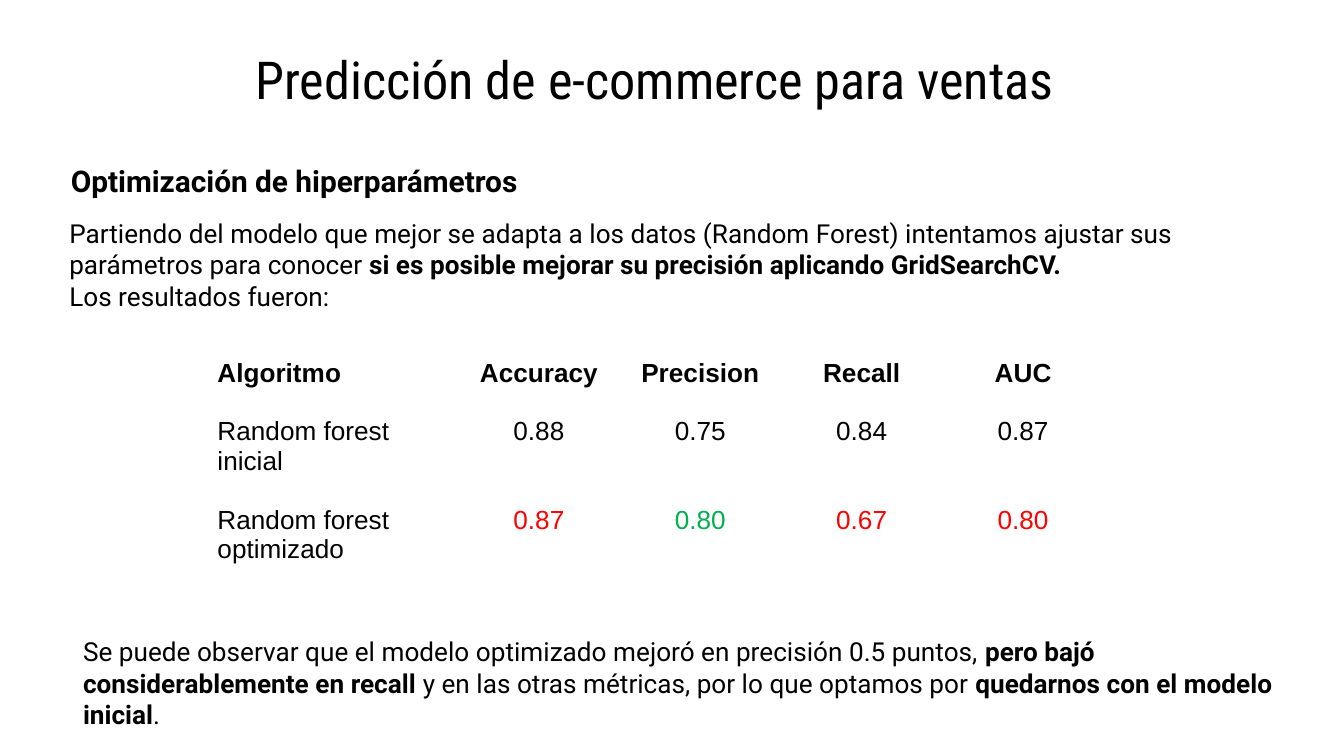
from dataclasses import dataclass

from pptx import Presentation
from pptx.dml.color import RGBColor
from pptx.enum.text import MSO_ANCHOR, MSO_AUTO_SIZE, PP_ALIGN
from pptx.util import Cm, Pt


@dataclass(frozen=True)
class Theme:
    ink: RGBColor = RGBColor(0, 0, 0)
    worse: RGBColor = RGBColor(0xFF, 0, 0)
    better: RGBColor = RGBColor(0, 0xB0, 0x50)
    title_font: str = "Roboto Condensed"
    body_font: str = "Roboto"
    table_font: str = "Arial"
    title_size: Pt = Pt(28)
    heading_size: Pt = Pt(16)
    body_size: Pt = Pt(14)


THEME = Theme()
INSET = Cm(0.25)

HEADER = ["Algoritmo", "Accuracy", "Precision", "Recall", "AUC"]
RESULTS = [
    ["Random forest inicial", 0.88, 0.75, 0.84, 0.87],
    ["Random forest optimizado", 0.87, 0.80, 0.67, 0.80],
]


def box(left, top, width, height):
    return Cm(left), Cm(top), Cm(width), Cm(height)


def style(font, name, size, color=THEME.ink, bold=None):
    font.name, font.size, font.bold = name, size, bold
    font.color.rgb = color


def set_frame(frame, side=INSET, vertical=INSET):
    frame.word_wrap = True
    frame.auto_size = MSO_AUTO_SIZE.NONE
    frame.vertical_anchor = MSO_ANCHOR.TOP
    frame.margin_left = frame.margin_right = side
    frame.margin_top = frame.margin_bottom = vertical


def add_title(slide, area, text):
    title = slide.shapes.title
    title.left, title.top, title.width, title.height = area
    set_frame(title.text_frame)
    title.text_frame.text = text
    line = title.text_frame.paragraphs[0]
    line.alignment = PP_ALIGN.CENTER
    style(line.font, THEME.title_font, THEME.title_size)


def add_text(slide, area, paragraphs, size=THEME.body_size, spacing=None, vertical=INSET):
    """Each paragraph is a list of (text, bold) pieces."""
    frame = slide.shapes.add_textbox(*area).text_frame
    set_frame(frame, vertical=vertical)
    for index, pieces in enumerate(paragraphs):
        paragraph = frame.add_paragraph() if index else frame.paragraphs[0]
        paragraph.line_spacing = spacing
        style(paragraph.font, THEME.body_font, size)
        for text, bold in pieces:
            run = paragraph.add_run()
            run.text = text
            run.font.bold = bold


def score_color(score, baseline):
    if score == baseline:
        return THEME.ink
    return THEME.better if score > baseline else THEME.worse


def fill_cell(cell, text, color, bold, centered):
    cell.fill.background()
    cell.margin_left = cell.margin_right = INSET
    cell.margin_top = cell.margin_bottom = INSET
    cell.text = text
    paragraph = cell.text_frame.paragraphs[0]
    paragraph.alignment = PP_ALIGN.CENTER if centered else PP_ALIGN.LEFT
    style(paragraph.font, THEME.table_font, THEME.body_size, color, bold)


def add_results_table(slide, area, name_width=Cm(4.8), header_height=Cm(1.1)):
    """Scores are coloured by comparison with the initial model."""
    table = slide.shapes.add_table(len(RESULTS) + 1, len(HEADER), *area).table
    table.first_row = table.horz_banding = False
    width, height = area[2:]
    for index, column in enumerate(table.columns):
        column.width = (width - name_width) // (len(HEADER) - 1) if index else name_width
    for index, row in enumerate(table.rows):
        row.height = (height - header_height) // len(RESULTS) if index else header_height

    for column, label in enumerate(HEADER):
        fill_cell(table.cell(0, column), label, THEME.ink, True, column > 0)
    baseline = RESULTS[0]
    for row, (name, *scores) in enumerate(RESULTS, start=1):
        fill_cell(table.cell(row, 0), name, THEME.ink, False, False)
        for column, score in enumerate(scores, start=1):
            color = score_color(score, baseline[column])
            fill_cell(table.cell(row, column), f"{score:.2f}", color, False, True)


def build_results_slide(deck):
    slide = deck.slides.add_slide(deck.slide_layouts[5])
    add_title(slide, box(-0.33, 0.64, 25.4, 1.7), "Predicción de e-commerce para ventas")
    add_text(
        slide, box(1.09, 2.72, 24.2, 1.3),
        [[("Optimización de hiperparámetros", True)]],
        size=THEME.heading_size, spacing=1.15,
    )
    add_text(slide, box(1.06, 3.86, 22.58, 2.31), [
        [
            ("Partiendo del modelo que mejor se adapta a los datos (Random Forest) "
             "intentamos ajustar sus parámetros para conocer ", False),
            ("si es posible mejorar su precisión aplicando GridSearchCV.", True),
        ],
        [("Los resultados fueron:", False)],
    ])
    add_results_table(slide, box(3.86, 6.53, 17, 4.46))
    add_text(slide, box(1.32, 11.89, 23.24, 2.05), [[
        ("Se puede observar que el modelo optimizado mejoró en precisión 0.5 puntos, ", False),
        ("pero bajó considerablemente en recall ", True),
        ("y en las otras métricas, por lo que optamos por ", False),
        ("quedarnos con el modelo inicial", True),
        (".", False),
    ]], vertical=Cm(0.13))


def main():
    deck = Presentation()
    deck.slide_width, deck.slide_height = Cm(25.4), Cm(14.29)
    build_results_slide(deck)
    deck.save("out.pptx")


if __name__ == "__main__":
    main()
